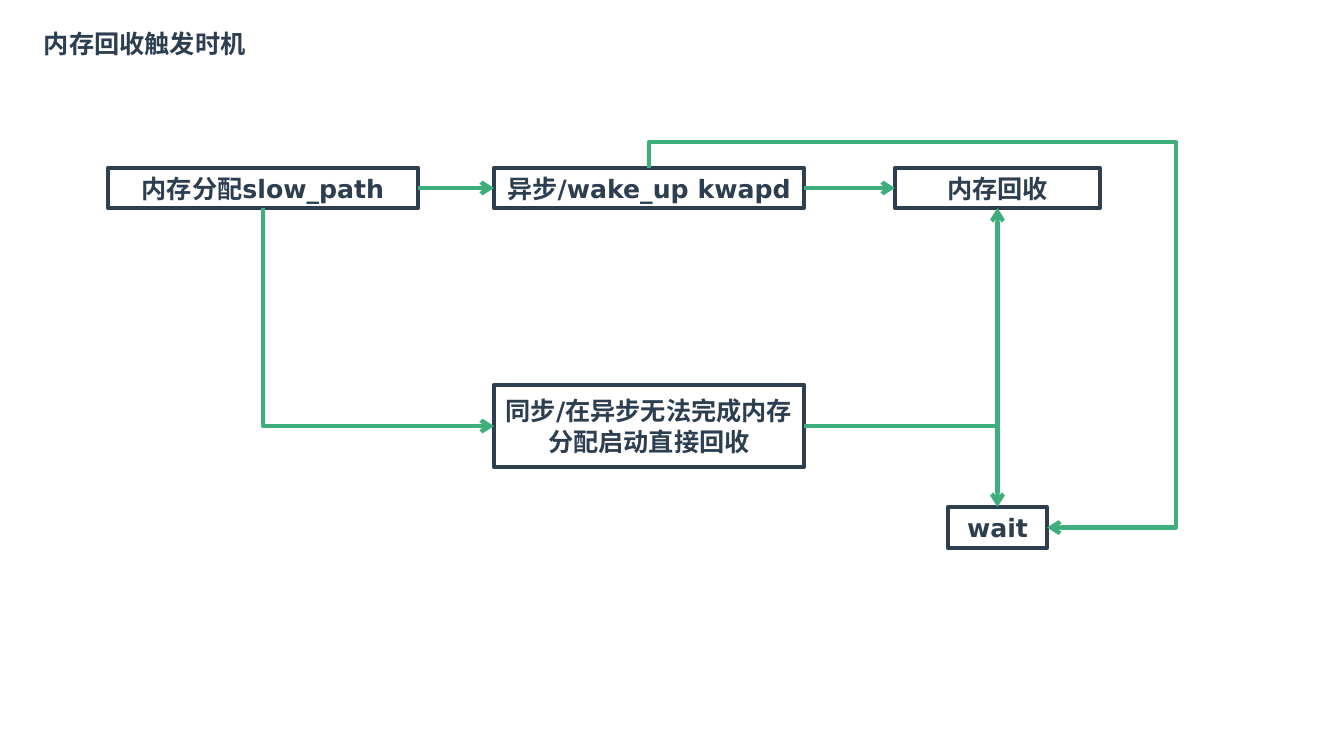
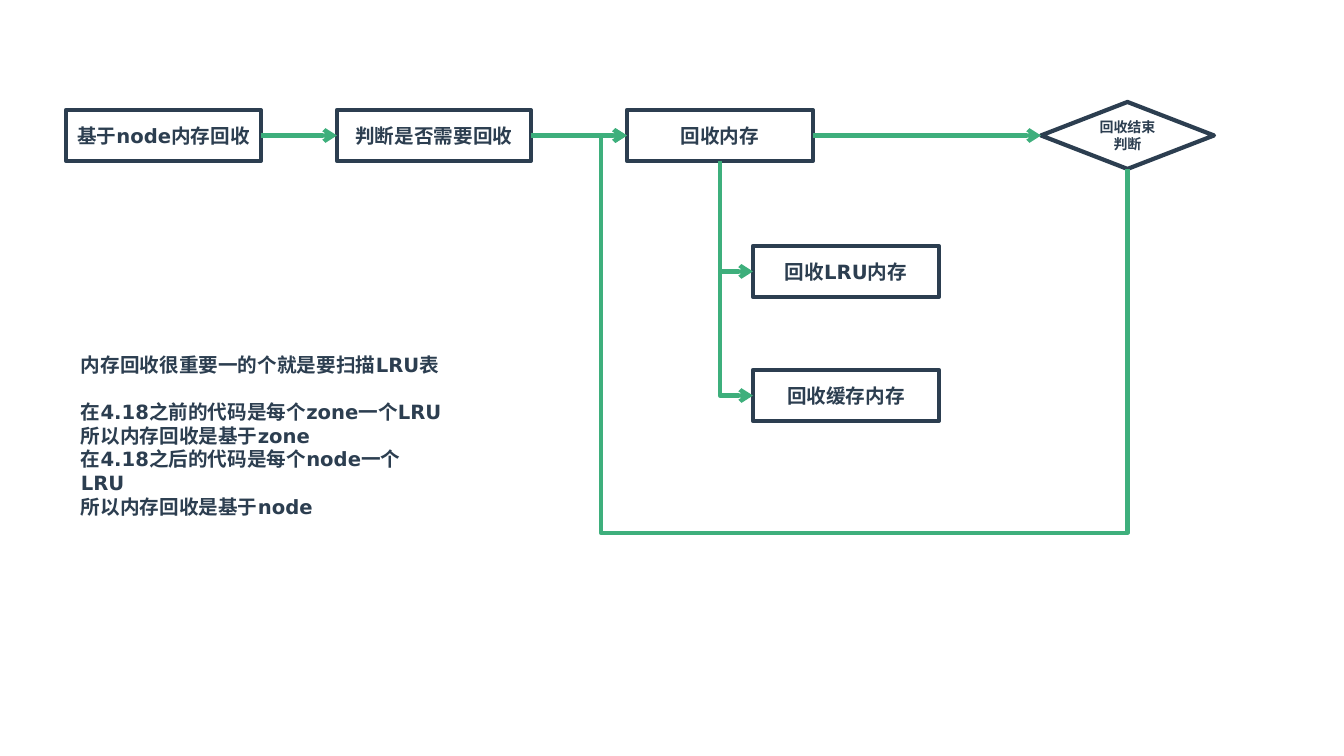
from lxml import etree
from pptx import Presentation
from pptx.dml.color import RGBColor
from pptx.enum.shapes import MSO_CONNECTOR, MSO_SHAPE
from pptx.enum.text import MSO_ANCHOR, MSO_AUTO_SIZE, PP_ALIGN
from pptx.oxml.ns import qn
from pptx.util import Emu, Pt

RECT, DIAMOND = MSO_SHAPE.RECTANGLE, MSO_SHAPE.FLOWCHART_DECISION
STRAIGHT, ELBOW = MSO_CONNECTOR.STRAIGHT, MSO_CONNECTOR.ELBOW
CENTER, LEFT_ALIGN = PP_ALIGN.CENTER, PP_ALIGN.LEFT
MIDDLE = MSO_ANCHOR.MIDDLE
FIT = MSO_AUTO_SIZE.SHAPE_TO_FIT_TEXT

INK = RGBColor(0x2C, 0x3E, 0x50)
GREEN = RGBColor(0x3E, 0xAF, 0x7C)
FONT = "DejaVu Sans"
LINE = Pt(3)
SCALE = 914400 / 100.8
WIDTH, HEIGHT = 1344, 756
TOP, LEFT, BOTTOM, RIGHT = range(4)

TRIGGER = {
    "texts": [(["内存回收触发时机"], (34, 23, 223, 40), 18, False)],
    "size": 18,
    "nodes": {
        "alloc": ("内存分配slow_path", (108, 168, 310, 40)),
        "reclaim": ("内存回收", (895, 168, 205, 40)),
        "async": ("异步/wake_up kwapd", (494, 168, 310, 40)),
        "sync": ("同步/在异步无法完成内存分配启动直接回收", (494, 385, 310, 82)),
        "wait": ("wait", (948, 507, 99, 41)),
    },
    "arrows": [
        ("alloc", RIGHT, "async", LEFT),
        ("async", RIGHT, "reclaim", LEFT),
    ],
    "elbows": [
        ("alloc", BOTTOM, "sync", LEFT, None),
        ("sync", RIGHT, "reclaim", BOTTOM, None),
        ("sync", RIGHT, "wait", TOP, None),
        ("async", TOP, "wait", RIGHT, (1176, 142)),
    ],
}

FLOW = {
    "texts": [([
        "内存回收很重要一的个就是要扫描LRU表",
        "在4.18之前的代码是每个zone一个LRU",
        "所以内存回收是基于zone",
        "在4.18之后的代码是每个node一个LRU",
        "所以内存回收是基于node",
    ], (71, 348, 383, 222), 14, True)],
    "size": 14,
    "nodes": {
        "node": ("基于node内存回收", (66, 110, 195, 51)),
        "check": ("判断是否需要回收", (337, 110, 194, 51)),
        "reclaim": ("回收内存", (627, 110, 186, 51)),
        "lru": ("回收LRU内存", (753, 246, 186, 51)),
        "cache": ("回收缓存内存", (753, 370, 186, 51)),
        "done": ("回收结束判断", (1041, 102, 173, 67), DIAMOND, 10),
    },
    "arrows": [
        ("node", RIGHT, "check", LEFT),
        ("check", RIGHT, "reclaim", LEFT),
        ("reclaim", RIGHT, "done", LEFT),
    ],
    "elbows": [
        ("reclaim", BOTTOM, "lru", LEFT, None),
        ("reclaim", BOTTOM, "cache", LEFT, None),
        ("done", BOTTOM, "reclaim", LEFT, (601, 533)),
    ],
}


def px(n):
    return Emu(round(n * SCALE))


def add_run(p, text, size):
    r = p.add_run()
    r.text = text
    r.font.name = FONT
    r.font.size = Pt(size)
    r.font.bold = True
    r.font.color.rgb = INK


def add_text(s, lines, box, size, wrap):
    tf = s.shapes.add_textbox(*map(px, box)).text_frame
    tf.word_wrap = wrap
    tf.auto_size = FIT
    for i, line in enumerate(lines):
        p = tf.paragraphs[0] if i == 0 else tf.add_paragraph()
        p.alignment = LEFT_ALIGN
        if i == 1:
            p.space_before = Pt(17)
        add_run(p, line, size)


def add_node(s, size, text, box, kind=RECT, own_size=None):
    sp = s.shapes.add_shape(kind, *map(px, box))
    sp.shadow.inherit = False
    sp.fill.background()
    sp.line.color.rgb = INK
    sp.line.width = LINE
    tf = sp.text_frame
    tf.word_wrap = True
    tf.vertical_anchor = MIDDLE
    p = tf.paragraphs[0]
    p.alignment = CENTER
    add_run(p, text, own_size or size)
    return sp


def add_arrow(s, kind, start, start_site, end, end_site):
    cn = s.shapes.add_connector(kind, 0, 0, 0, 0)
    cn.begin_connect(start, start_site)
    cn.end_connect(end, end_site)
    cn.line.color.rgb = GREEN
    cn.line.width = LINE
    etree.SubElement(cn.line._get_or_add_ln(), qn("a:tailEnd"), type="arrow")
    etree.SubElement(cn._element.spPr, qn("a:effectLst"))
    return cn


def bend(cn, vertical_first, via):
    x, y = cn.begin_x, cn.begin_y
    dx, dy = cn.end_x - x, cn.end_y - y
    w, h = abs(dx), abs(dy)
    flip_h, flip_v = dx < 0, dy < 0
    xfrm = cn._element.spPr.find(qn("a:xfrm"))
    if vertical_first:
        w, h = h, w
        flip_h, flip_v = dy < 0, dx > 0
        xfrm.set("rot", "5400000")
    xfrm.set("flipH", str(int(flip_h)))
    xfrm.set("flipV", str(int(flip_v)))
    cn.left, cn.top = Emu(x + (dx - w) // 2), Emu(y + (dy - h) // 2)
    cn.width, cn.height = Emu(w), Emu(h)
    geom = cn._element.spPr.find(qn("a:prstGeom"))
    geom.set("prst", "bentConnector4" if via else "bentConnector2")
    if via:
        guides = geom.find(qn("a:avLst"))
        ratios = (px(via[1]) - y) / dy, (px(via[0]) - x) / dx
        for i, ratio in enumerate(ratios, 1):
            etree.SubElement(guides, qn("a:gd"), name=f"adj{i}",
                             fmla=f"val {round(ratio * 100000)}")


def add_diagram(prs, diagram):
    s = prs.slides.add_slide(prs.slide_layouts[6])
    for text in diagram["texts"]:
        add_text(s, *text)
    nodes = {name: add_node(s, diagram["size"], *node)
             for name, node in diagram["nodes"].items()}
    for a, a_site, b, b_site in diagram["arrows"]:
        add_arrow(s, STRAIGHT, nodes[a], a_site, nodes[b], b_site)
    for a, a_site, b, b_site, via in diagram["elbows"]:
        cn = add_arrow(s, ELBOW, nodes[a], a_site, nodes[b], b_site)
        bend(cn, a_site in (TOP, BOTTOM), via)


def main():
    prs = Presentation()
    prs.slide_width, prs.slide_height = px(WIDTH), px(HEIGHT)
    for diagram in (TRIGGER, FLOW):
        add_diagram(prs, diagram)
    prs.save("out.pptx")


if __name__ == "__main__":
    main()
